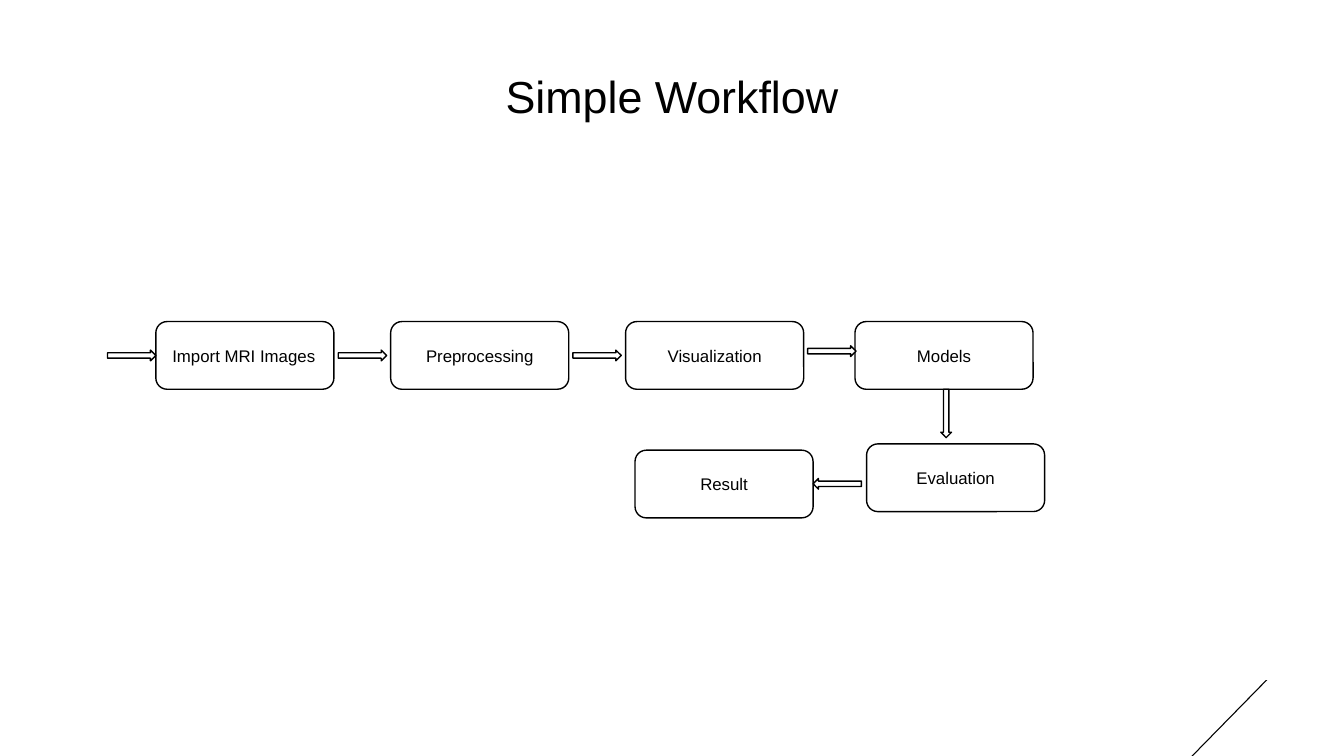
from pptx import Presentation
from pptx.dml.color import RGBColor
from pptx.enum.shapes import MSO_SHAPE
from pptx.enum.text import MSO_ANCHOR, PP_ALIGN
from pptx.util import Inches, Pt

COLORS = {"ink": "000000", "paper": "FFFFFF"}
INK = RGBColor.from_string(COLORS["ink"])
PAPER = RGBColor.from_string(COLORS["paper"])

deck = Presentation()
deck.slide_width = Inches(10)
deck.slide_height = deck.slide_width * 9 // 16
slide = deck.slides.add_slide(deck.slide_layouts[6])

# Square grid: 100 columns across the slide
CELL = deck.slide_width / 100
STEP_WIDTH, STEP_HEIGHT = 13.25, 5.04
ARROW_LENGTH, ARROW_WIDTH = 3.6, 0.8
TOP_ROW = 23.93
MARGINS = ("margin_left", "margin_top", "margin_right", "margin_bottom")


def add_block(kind, column, row, width, height, fill=PAPER):
    """Add a preset shape placed in grid cells, outlined unless filled with ink."""
    block = slide.shapes.add_shape(
        kind, *(round(n * CELL) for n in (column, row, width, height)))
    block.shadow.inherit = False
    block.fill.solid()
    block.fill.fore_color.rgb = fill
    if fill == INK:
        block.line.fill.background()
    else:
        block.line.color.rgb = INK
        block.line.width = Pt(0.75)
    return block


def write(frame, words, size, align, margin, anchor):
    settings = dict.fromkeys(MARGINS, round(margin * CELL))
    settings.update(word_wrap=True, vertical_anchor=anchor)
    for name, value in settings.items():
        setattr(frame, name, value)
    line = frame.paragraphs[0]
    line.alignment = align
    run = line.add_run()
    run.text = words
    for name, value in {"name": "Arial", "size": Pt(size)}.items():
        setattr(run.font, name, value)
    run.font.color.rgb = INK


# Corner accent
accent = add_block(MSO_SHAPE.PARALLELOGRAM, 88.65, 50.6, 5.65, 5.65, INK)
accent.adjustments[0] = 0.98

# Title
title = slide.shapes.add_textbox(*(round(n * CELL) for n in (3.1, 5.1, 93.8, 4)))
write(title.text_frame, "Simple Workflow", 24, PP_ALIGN.CENTER, 0, MSO_ANCHOR.TOP)

# Steps
steps = [
    ("Import MRI Images", 11.6, TOP_ROW, PP_ALIGN.LEFT),
    ("Preprocessing", 29.07, TOP_ROW, PP_ALIGN.CENTER),
    ("Visualization", 46.55, TOP_ROW, PP_ALIGN.CENTER),
    ("Models", 63.62, TOP_ROW, PP_ALIGN.CENTER),
    ("Evaluation", 64.48, 33.03, PP_ALIGN.CENTER),
    ("Result", 47.25, 33.5, PP_ALIGN.CENTER),
]
for words, column, row, align in steps:
    step = add_block(MSO_SHAPE.ROUNDED_RECTANGLE, column, row, STEP_WIDTH, STEP_HEIGHT)
    write(step.text_frame, words, 9, align, 1, MSO_ANCHOR.MIDDLE)

# Arrows between the steps
for column, row in [(8, 26.05), (25.17, 26.05), (42.63, 26.05), (60.1, 25.73)]:
    add_block(MSO_SHAPE.RIGHT_ARROW, column, row, ARROW_LENGTH, ARROW_WIDTH)
add_block(MSO_SHAPE.DOWN_ARROW, 70, TOP_ROW + STEP_HEIGHT, ARROW_WIDTH, ARROW_LENGTH)
add_block(MSO_SHAPE.LEFT_ARROW, 47.25 + STEP_WIDTH, 35.6, ARROW_LENGTH, ARROW_WIDTH)

deck.save("out.pptx")
